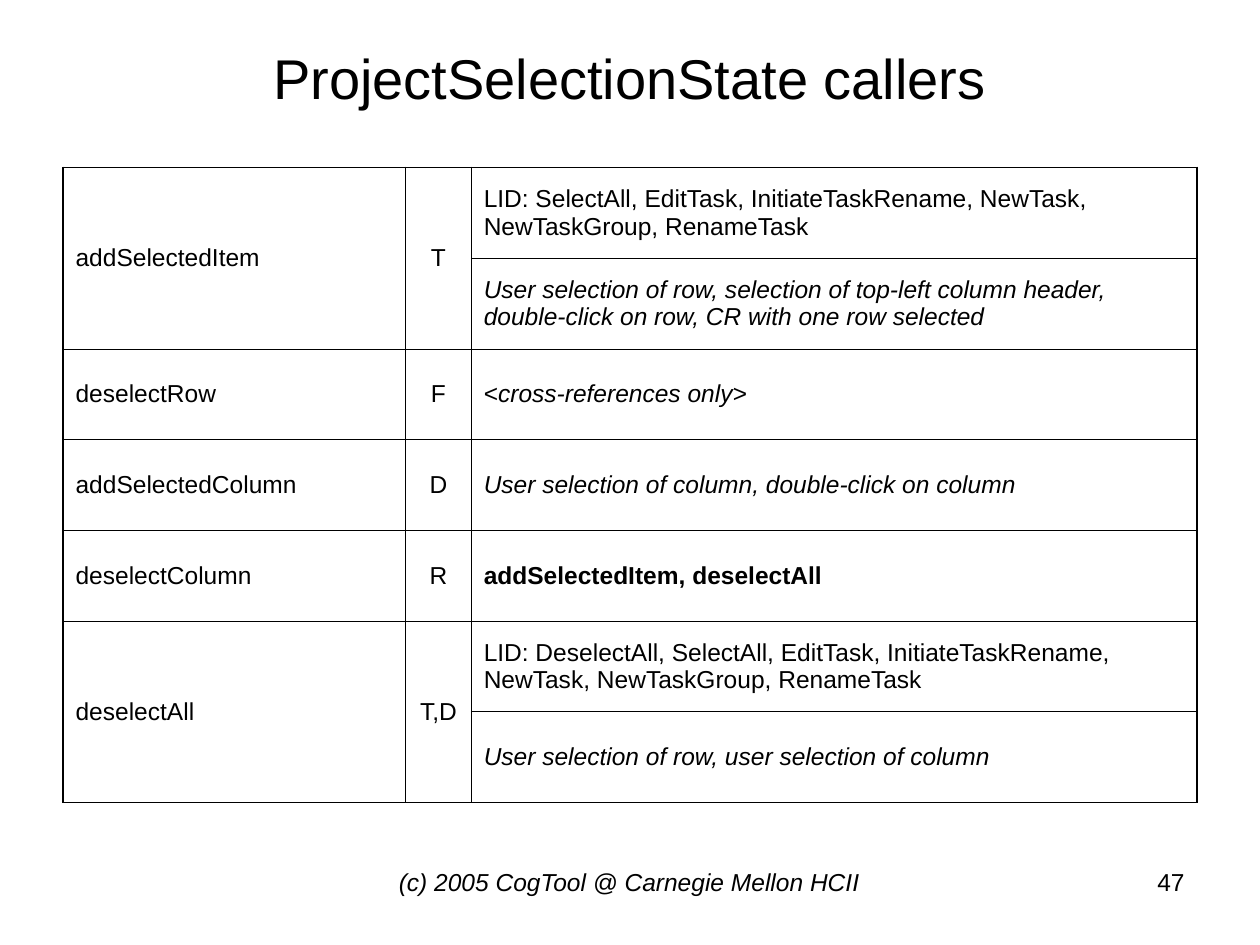
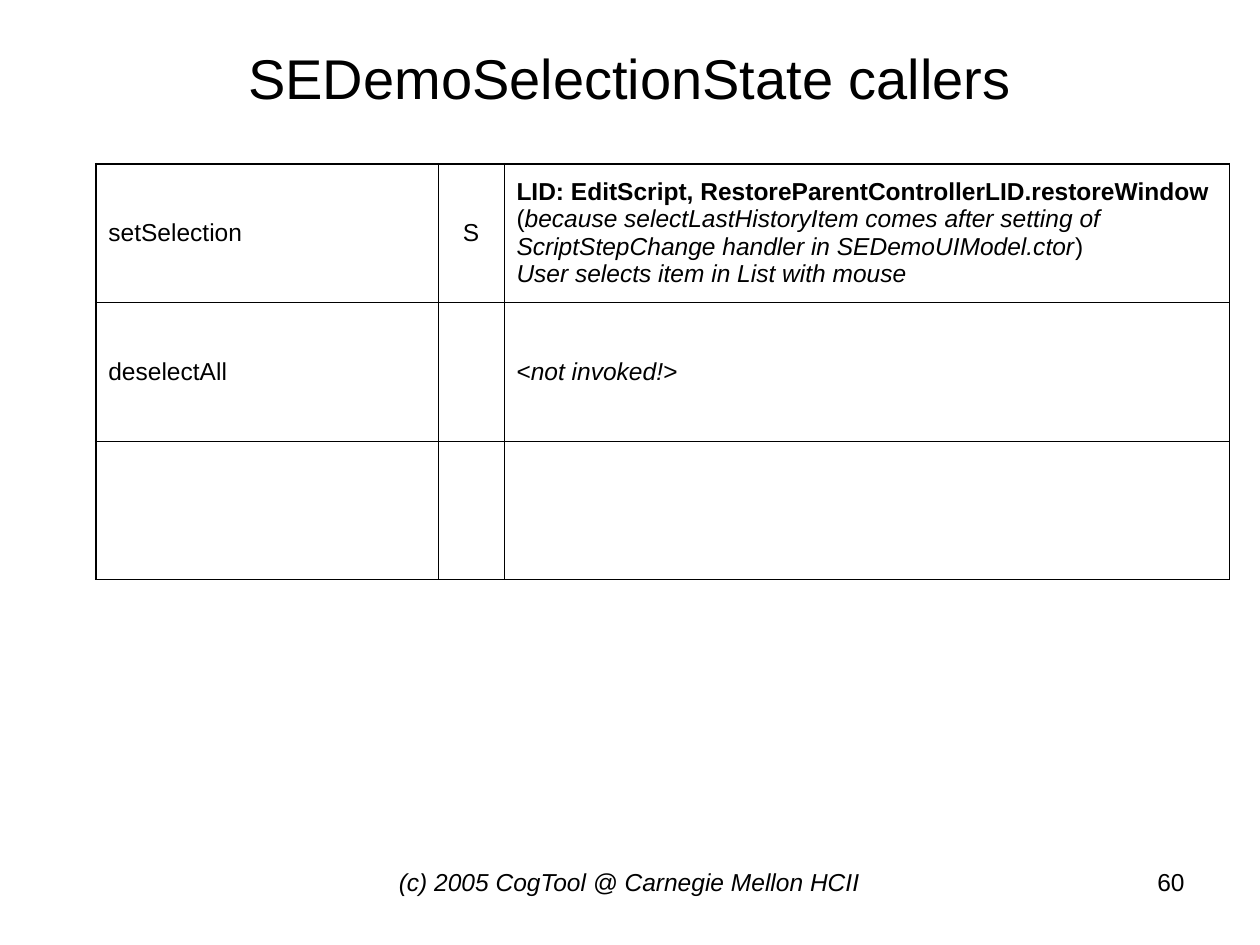
from dataclasses import dataclass

from lxml.etree import SubElement
from pptx import Presentation
from pptx.dml.color import RGBColor
from pptx.enum.text import MSO_VERTICAL_ANCHOR as Anchor, PP_PARAGRAPH_ALIGNMENT as Align
from pptx.oxml.ns import qn
from pptx.util import Inches, Pt


@dataclass(frozen=True)
class Theme:
    font: str = "Arial"
    ink: str = "000000"
    title_size: float = 32
    body_size: float = 14
    outer_line: float = 1.08
    inner_line: float = 0.45


THEME = Theme()
COLUMN_WIDTHS = (2.72, 0.52, 5.76)
COLUMN_ALIGNS = (Align.LEFT, Align.CENTER, Align.LEFT)
FOOTER = "(c) 2005 CogTool @ Carnegie Mellon HCII"

# Run styles
PLAIN = {}
BOLD = {"bold": True}
ITALIC = {"italic": True}


def in_brackets(text):
    return [("<", PLAIN), (text, ITALIC), (">", PLAIN)]


# Table rows: method name, kind of call, one list of runs per caller cell
PROJECT_CALLERS = [
    ("addSelectedItem", "T", [
        [("LID: SelectAll, EditTask, InitiateTaskRename, NewTask, "
          "NewTaskGroup, RenameTask", PLAIN)],
        [("User selection of row, selection of top-left column header, "
          "double-click on row, CR with one row selected", ITALIC)],
    ]),
    ("deselectRow", "F", [in_brackets("cross-references only")]),
    ("addSelectedColumn", "D", [
        [("User selection of column, double-click on column", ITALIC)]]),
    ("deselectColumn", "R", [[("addSelectedItem, deselectAll", BOLD)]]),
    ("deselectAll", "T,D", [
        [("LID: DeselectAll, SelectAll, EditTask, InitiateTaskRename, "
          "NewTask, NewTaskGroup, RenameTask", PLAIN)],
        [("User selection of row, user selection of column", ITALIC)],
    ]),
]
DEMO_CALLERS = [
    ("setSelection", "S", [[
        ("LID: EditScript, RestoreParentControllerLID.restoreWindow\n", BOLD),
        ("(", PLAIN),
        ("because selectLastHistoryItem comes after setting of "
         "ScriptStepChange handler in SEDemoUIModel.ctor", ITALIC),
        (")\n", PLAIN),
        ("User selects item in List with mouse", ITALIC),
    ]]),
    ("deselectAll", "", [in_brackets("not invoked!")]),
    ("", "", [[]]),
]


def write_runs(paragraph, runs, size, align):
    paragraph.alignment = align
    for text, style in runs:
        run = paragraph.add_run()
        run.text = text.rstrip("\n")
        values = {"name": THEME.font, "size": Pt(size), "bold": False, "italic": False}
        for name, value in (values | style).items():
            setattr(run.font, name, value)
        run.font.color.rgb = RGBColor.from_string(THEME.ink)
        if text.endswith("\n"):
            paragraph.add_line_break()


def add_text(slide, box, text, size, align, style=PLAIN, anchor=Anchor.TOP):
    shape = slide.shapes.add_textbox(*map(Inches, box))
    shape.text_frame.word_wrap = True
    shape.text_frame.vertical_anchor = anchor
    write_runs(shape.text_frame.paragraphs[0], [(text, style)], size, align)


def set_borders(cell, outer_sides):
    properties = cell._tc.get_or_add_tcPr()
    for side, is_outer in outer_sides.items():
        width = THEME.outer_line if is_outer else THEME.inner_line
        line = SubElement(properties, qn(f"a:ln{side}"), w=str(Pt(width)))
        fill = SubElement(line, qn("a:solidFill"))
        SubElement(fill, qn("a:srgbClr"), val=THEME.ink)


def finish_cells(table):
    """Thick line around the table, thin lines inside, no fill."""
    row_count, column_count = len(table.rows), len(table.columns)
    for row in range(row_count):
        for column in range(column_count):
            cell = table.cell(row, column)
            if not cell.is_spanned:
                set_borders(cell, {
                    "L": column == 0,
                    "R": column == column_count - 1,
                    "T": row == 0,
                    "B": row + cell.span_height == row_count,
                })
            cell.fill.background()
            cell.vertical_anchor = Anchor.MIDDLE


def fill_cell(cell, runs, column):
    if any(text for text, style in runs):
        write_runs(cell.text_frame.paragraphs[0], runs,
                   THEME.body_size, COLUMN_ALIGNS[column])


def add_caller_table(slide, left, top, row_height, methods):
    row_count = sum(len(callers) for _, _, callers in methods)
    frame = slide.shapes.add_table(
        row_count, len(COLUMN_WIDTHS), Inches(left), Inches(top),
        Inches(sum(COLUMN_WIDTHS)), Inches(row_height * row_count))
    table = frame.table
    table.first_row = table.horz_banding = False
    for column, width in zip(table.columns, COLUMN_WIDTHS):
        column.width = Inches(width)

    row = 0
    for method, kind, callers in methods:
        last_row = row + len(callers) - 1
        for column, text in enumerate((method, kind)):
            cell = table.cell(row, column)
            if last_row > row:
                cell.merge(table.cell(last_row, column))
            fill_cell(cell, [(text, PLAIN)], column)
        for offset, runs in enumerate(callers):
            fill_cell(table.cell(row + offset, 2), runs, 2)
        row = last_row + 1
    finish_cells(table)


def add_caller_slide(presentation, title, number, left, top, row_height, methods):
    slide = presentation.slides.add_slide(presentation.slide_layouts[6])
    add_text(slide, (0.5, 0.3, 9, 0.62), title, THEME.title_size,
             Align.CENTER, anchor=Anchor.MIDDLE)
    add_caller_table(slide, left, top, row_height, methods)
    # Footer and slide number
    add_text(slide, (2.83, 6.83, 4.33, 0.52), FOOTER, THEME.body_size,
             Align.CENTER, ITALIC)
    add_text(slide, (7.17, 6.83, 2.33, 0.52), str(number), THEME.body_size,
             Align.RIGHT)


def main():
    presentation = Presentation()
    presentation.slide_width = Inches(10)
    presentation.slide_height = Inches(7.5)
    add_caller_slide(presentation, "ProjectSelectionState callers", 47,
                     0.5, 1.33, 0.72, PROJECT_CALLERS)
    add_caller_slide(presentation, "SEDemoSelectionState callers", 60,
                     0.76, 1.3, 1.1, DEMO_CALLERS)
    presentation.save("out.pptx")


if __name__ == "__main__":
    main()
